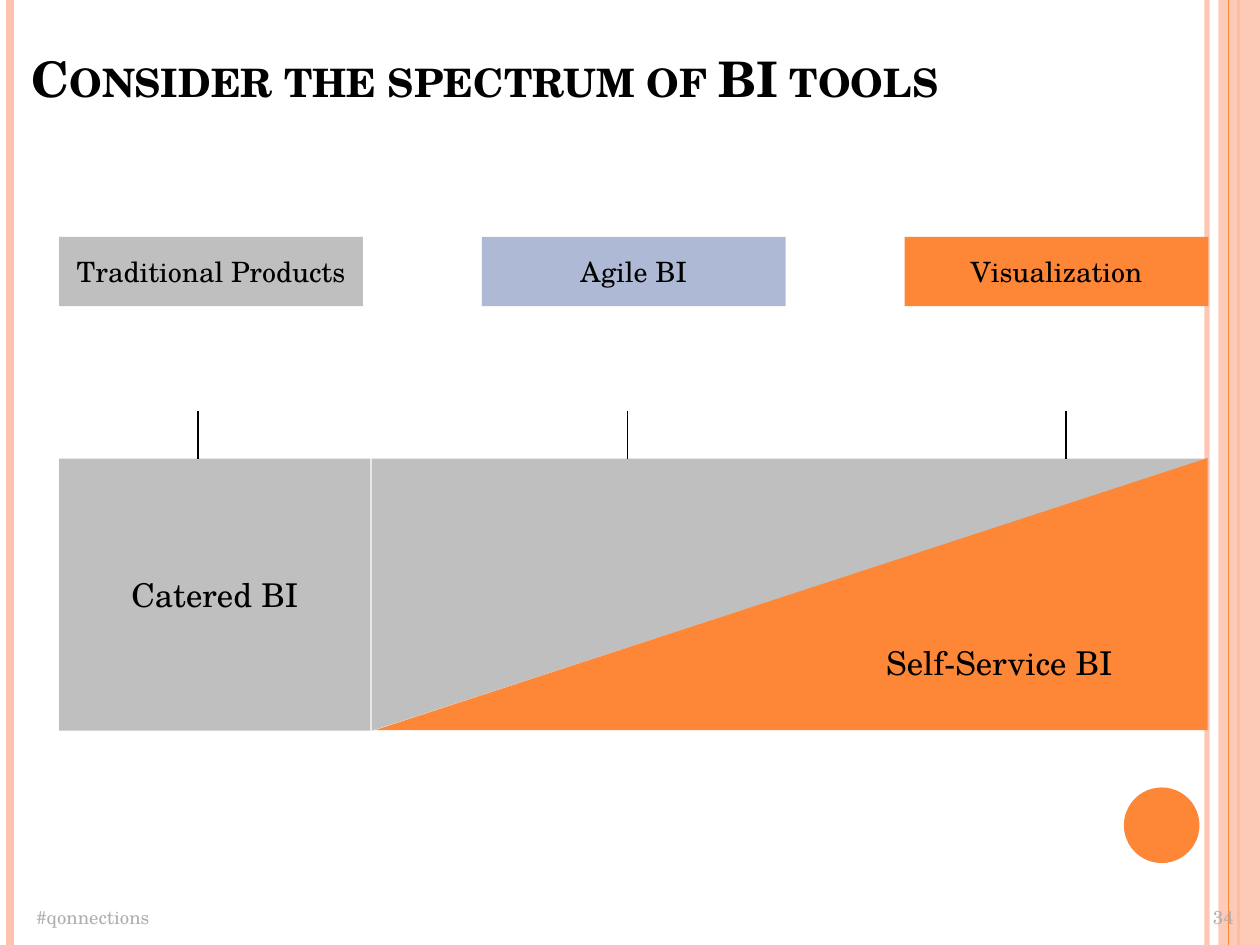
import pptx
import pptx.util
import pptx.dml.color
import pptx.enum.shapes
import pptx.enum.text
import pptx.oxml.ns
from lxml import etree

Inches = pptx.util.Inches
Pt = pptx.util.Pt
RGB = pptx.dml.color.RGBColor
Kind = pptx.enum.shapes.MSO_SHAPE
Align = pptx.enum.text.PP_ALIGN
Anchor = pptx.enum.text.MSO_ANCHOR
Fit = pptx.enum.text.MSO_AUTO_SIZE
qn = pptx.oxml.ns.qn

BLACK = RGB(0x00, 0x00, 0x00)
GRAY = RGB(0xBF, 0xBF, 0xBF)
BLUE = RGB(0xAE, 0xBA, 0xD5)
ORANGE = RGB(0xFE, 0x86, 0x37)
PEACH = RGB(0xFE, 0xC3, 0xAE)
PALE = RGB(0xAF, 0xAF, 0xAF)


class Deck:
    face = "TeX Gyre Schola"

    def __init__(self):
        self.prs = pptx.Presentation()
        self.prs.slide_width, self.prs.slide_height = Inches(10), Inches(7.5)
        self.slide = self.prs.slides.add_slide(self.prs.slide_layouts[5])

    def label(self, frame, text, size, color, align):
        frame.text = text
        para = frame.paragraphs[0]
        para.alignment = align
        para.font.name, para.font.size = self.face, Pt(size)
        para.font.color.rgb = color
        return para

    def fade(self, item, pct):
        color = next(item.element.spPr.iter(qn("a:srgbClr")))
        etree.SubElement(color, qn("a:alpha")).set("val", str(pct * 1000))

    def title(self, box, text):
        head = self.slide.shapes.title
        head.left, head.top, head.width, head.height = map(Inches, box)
        frame = head.text_frame
        frame.margin_left = frame.margin_right = 0
        frame.margin_top = frame.margin_bottom = 0
        frame.word_wrap = True
        frame.vertical_anchor = Anchor.MIDDLE
        para = self.label(frame, text, 28, BLACK, Align.LEFT)
        frame.auto_size = Fit.SHAPE_TO_FIT_TEXT
        para.font.bold = True
        para.font._element.set("cap", "small")

    def line(self, x, top, end, color, width):
        link = self.slide.shapes.add_connector(
            pptx.enum.shapes.MSO_CONNECTOR.STRAIGHT,
            Inches(x), Inches(top), Inches(x), Inches(end))
        link.line.color.rgb, link.line.width = color, Pt(width)
        etree.SubElement(link.element.spPr, qn("a:effectLst"))
        return link

    def shape(self, kind, box, color, text="", size=16):
        item = self.slide.shapes.add_shape(kind, *map(Inches, box))
        item.shadow.inherit = False
        item.fill.solid()
        item.fill.fore_color.rgb = color
        item.line.fill.background()
        if text:
            frame = item.text_frame
            frame.word_wrap = True
            frame.vertical_anchor = Anchor.MIDDLE
            self.label(frame, text, size, BLACK, Align.CENTER)
        return item

    def wedge(self, box, turn, color, text=""):
        item = self.shape(Kind.ISOSCELES_TRIANGLE, box, color, text, 18.7)
        item.adjustments[0] = 0
        item.rotation = turn
        return item

    def note(self, box, text, align):
        frame = self.slide.shapes.add_textbox(*map(Inches, box)).text_frame
        frame.word_wrap = True
        frame.auto_size = Fit.SHAPE_TO_FIT_TEXT
        self.label(frame, text, 10.7, PALE, align)


def main():
    deck = Deck()

    # Side bands and corner dot
    deck.fade(deck.line(9.58, 0, 7.5, PEACH, 3), 93)
    deck.line(0.08, 0, 7.5, PEACH, 4.5)
    deck.line(9.83, 0, 7.5, ORANGE, 1.5)
    deck.fade(deck.shape(Kind.RECTANGLE, (9.67, 0, 0.33, 7.5), PEACH), 87)
    deck.line(9.75, 0, 7.5, ORANGE, 0.75)
    deck.shape(Kind.OVAL, (8.92, 6.25, 0.6, 0.6), ORANGE)

    # Footer and title
    deck.note((8.99, 7.14, 0.9, 0.28), "34", Align.RIGHT)
    deck.note((0.19, 7.14, 5.19, 0.28), "#qonnections", Align.LEFT)
    deck.title((0.25, 0.38, 10, 0.47), "Consider the spectrum of BI tools")

    # Spectrum from catered to self-service
    deck.shape(Kind.RECTANGLE, (0.47, 3.64, 2.47, 2.16), GRAY,
               "Catered BI", 18.7)
    deck.wedge((5.19, 1.4, 2.16, 6.64), 90, GRAY)
    own = deck.wedge((5.2, 1.41, 2.16, 6.61), 270, ORANGE, "Self-Service BI")
    own.text_frame._txBody.bodyPr.set("vert", "vert")  # keeps text level

    # Tool groups and their ticks
    left, right = 0.47, 7.18
    groups = [("Traditional Products", GRAY, 1.57),
              ("Agile BI", BLUE, 4.98),
              ("Visualization", ORANGE, 8.46)]
    step = (right - left) / (len(groups) - 1)
    for i, (name, color, tick) in enumerate(groups):
        deck.shape(Kind.RECTANGLE, (left + step * i, 1.88, 2.41, 0.55),
                   color, name)
        deck.line(tick, 3.26, 3.64, BLACK, 1)

    deck.prs.save("out.pptx")


if __name__ == "__main__":
    main()
